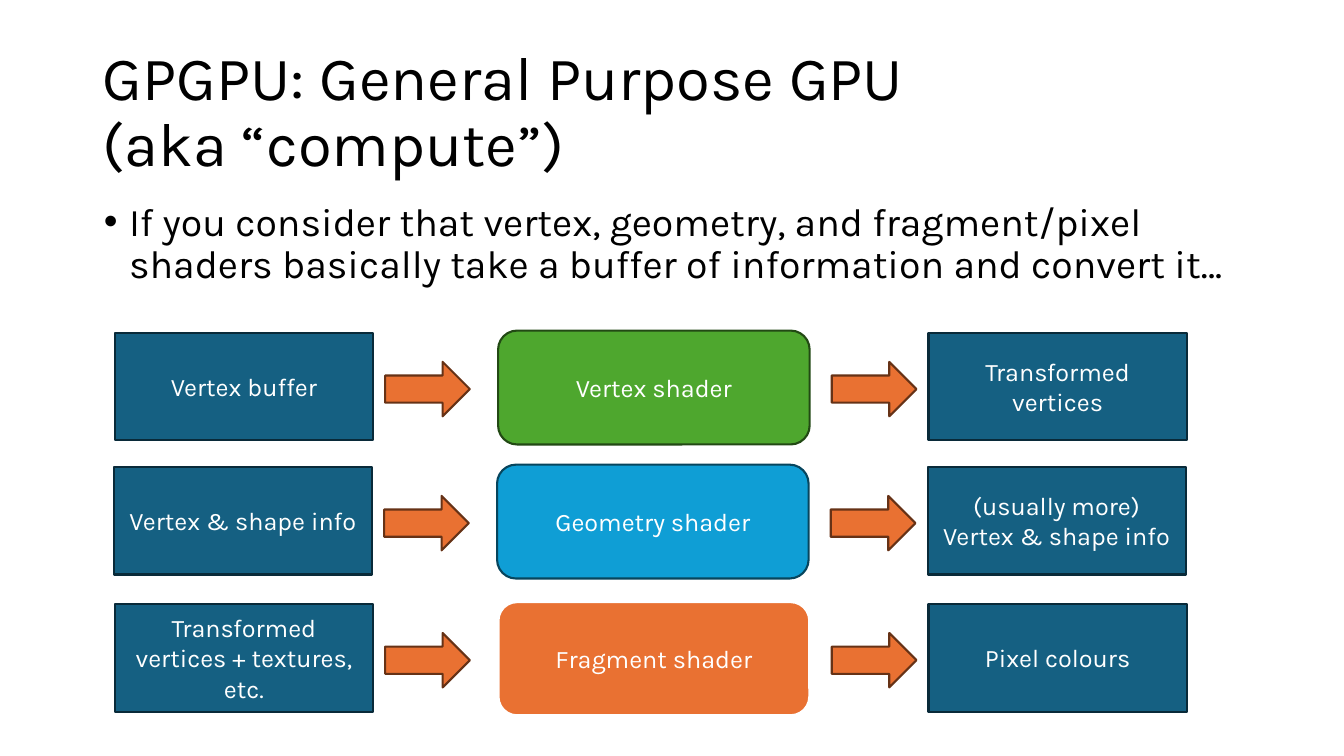
from pptx import Presentation
from pptx.dml.color import RGBColor
from pptx.enum.shapes import MSO_SHAPE
from pptx.enum.text import MSO_ANCHOR, MSO_AUTO_SIZE, PP_ALIGN
from pptx.util import Emu, Pt

PX = 9144
COLORS = {
    "black": "000000", "white": "FFFFFF",
    "blue": "156082", "blue_edge": "092A39",
    "orange": "E97132", "orange_edge": "663216",
    "green": "4EA72E", "green_edge": "224914",
    "sky": "0F9ED5", "sky_edge": "07455D",
}


def write_text(shape, text, size, color, alignment, anchor, **spacing):
    frame = shape.text_frame
    frame.text = text
    frame.word_wrap = True
    frame.auto_size = MSO_AUTO_SIZE.NONE
    frame.vertical_anchor = anchor
    for paragraph in frame.paragraphs:
        for name, value in {"alignment": alignment, **spacing}.items():
            setattr(paragraph, name, value)
        font_format = {"name": "Karla", "size": Pt(size)}
        for run in paragraph.runs:
            for name, value in font_format.items():
                setattr(run.font, name, value)
            run.font.color.rgb = RGBColor.from_string(COLORS[color])


def add_block(group, kind, left, top, width, height, fill, edge, line_width, text):
    shape = group.shapes.add_shape(kind, *(Emu(n * PX) for n in (left, top, width, height)))
    shape.shadow.inherit = False
    shape.fill.solid()
    shape.fill.fore_color.rgb = RGBColor.from_string(COLORS[fill])
    shape.line.color.rgb = RGBColor.from_string(COLORS[edge])
    shape.line.width = Pt(line_width)
    if text:
        write_text(shape, text, 18, "white", PP_ALIGN.CENTER, MSO_ANCHOR.MIDDLE)


presentation = Presentation()
presentation.slide_width = Emu(1333 * PX)
presentation.slide_height = Emu(750 * PX)
slide = presentation.slides.add_slide(presentation.slide_layouts[1])
title, body = slide.placeholders

for placeholder, bounds in ((title, (92, 40, 1150, 145)), (body, (93, 196, 1150, 113))):
    for name, value in zip(("left", "top", "width", "height"), bounds):
        setattr(placeholder, name, Emu(value * PX))

spacing = {"line_spacing": 0.9, "space_before": Pt(0)}
write_text(title, "GPGPU: General Purpose GPU\v(aka “compute”)", 44, "black",
           PP_ALIGN.LEFT, MSO_ANCHOR.MIDDLE, **spacing)
write_text(body, "If you consider that vertex, geometry, and fragment/pixel shaders "
           "basically take a buffer of information and convert it…", 28, "black",
           PP_ALIGN.LEFT, MSO_ANCHOR.TOP, **spacing)
bullet_properties = body.text_frame.paragraphs[0]._p.get_or_add_pPr()
bullet_properties.set("marL", str(25 * PX))
bullet_properties.set("indent", str(-25 * PX))

stages = [
    (114, 330, "Vertex buffer", "Vertex shader", "Transformed vertices",
     "green", "green_edge", 1.5),
    (113, 463, "Vertex & shape info", "Geometry shader", "(usually more)\nVertex & shape info",
     "sky", "sky_edge", 1.5),
    (114, 599, "Transformed vertices + textures, etc.", "Fragment shader", "Pixel colours",
     "orange", "white", 2),
]
for left, top, source, shader, result, fill, edge, line_width in stages:
    group = slide.shapes.add_group_shape()
    for offset, text in ((0, source), (807, result)):
        add_block(group, MSO_SHAPE.RECTANGLE, left + offset, top, 256, 107,
                  "blue", "blue_edge", 1.5, text)
    for offset in (268, 711):
        add_block(group, MSO_SHAPE.RIGHT_ARROW, left + offset, top + 29, 84, 54,
                  "orange", "orange_edge", 1.5, "")
    add_block(group, MSO_SHAPE.ROUNDED_RECTANGLE, left + 380, top - 2, 309, 113,
              fill, edge, line_width, shader)

presentation.save("out.pptx")
